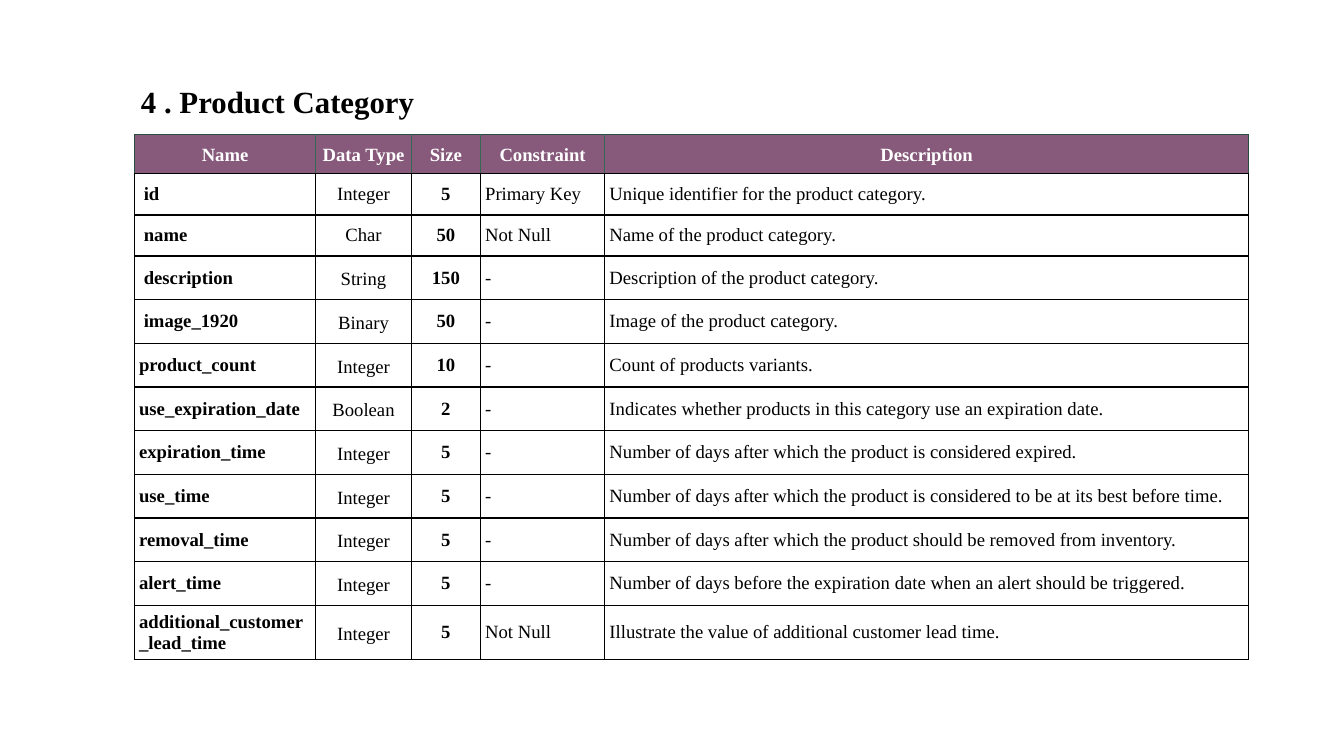
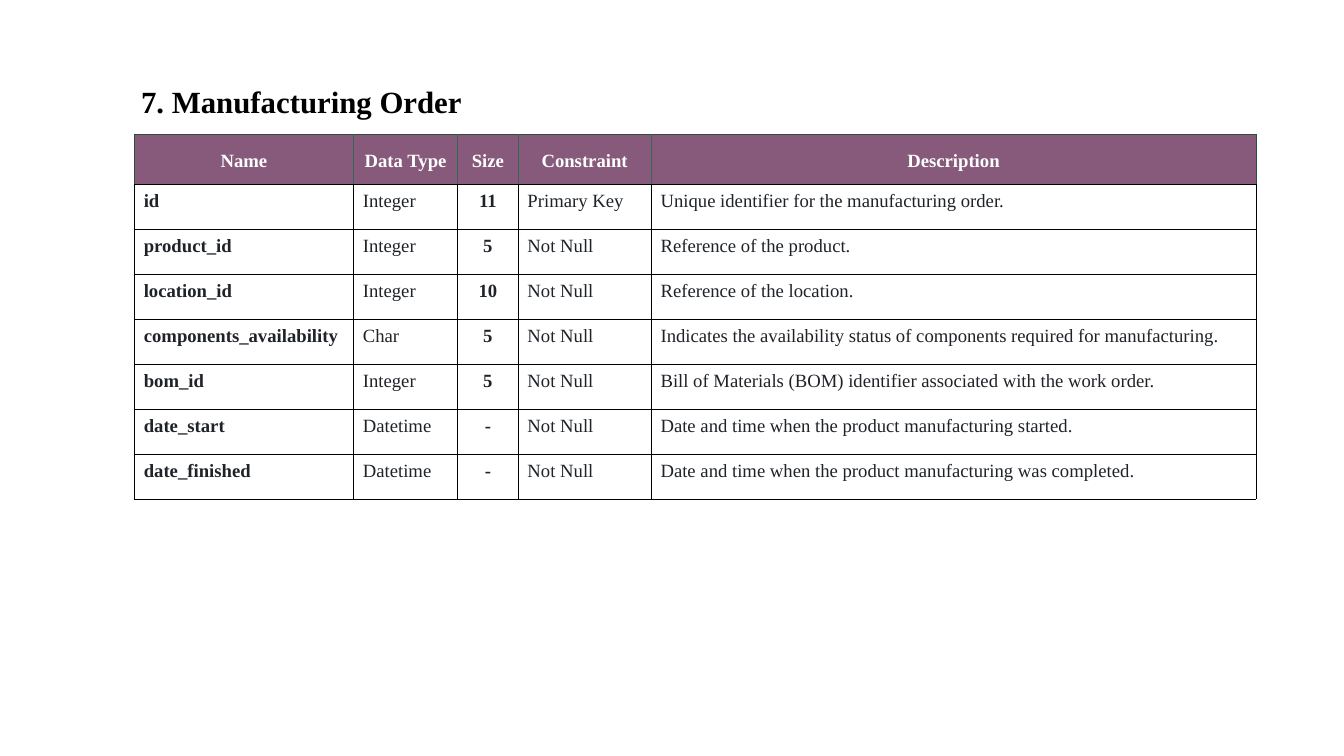
"""Builds two data dictionary slides, each a title above a table of fields."""
import dataclasses

import lxml.etree
import pptx
import pptx.dml.color
import pptx.enum.text
import pptx.oxml.ns
import pptx.util

Inches = pptx.util.Inches
ALIGN = pptx.enum.text.PP_ALIGN
ANCHOR = pptx.enum.text.MSO_ANCHOR

COLOURS = {
    "header": "875A7B",
    "header_text": "FFFFFF",
    "header_edge": "284E3F",
    "header_divider": "356854",
    "grid": "000000",
    "title": "000000",
    "ink": "000000",
    "soft_ink": "1F2328",
}
FONT = "Times New Roman"
LEFT = 2
TABLE_TOP = 2
LOOSE = 1.15
HEADINGS = ["Name", "Data Type", "Size", "Constraint", "Description"]
BOLD_COLUMNS = ("Name", "Size")


@dataclasses.dataclass
class FieldStyle:
    """The look of the field rows and rules of one table."""
    ink: str
    margins: tuple
    anchor: ANCHOR
    spacing: float
    centred: tuple
    grid_width: float
    header_width: float


CATEGORY_STYLE = FieldStyle("ink", (0.07, 0.07), ANCHOR.MIDDLE, 1.0,
                            ("Data Type", "Size"), 1.5, 1.5)
ORDER_STYLE = FieldStyle("soft_ink", (0.14, 0.06), ANCHOR.TOP, LOOSE,
                         ("Size",), 0.75, 0.94)

CATEGORY_WIDTHS = [2.7, 1.42, 1.03, 1.85, 9.58]
CATEGORY_HEIGHTS = [0.58, 0.62, 0.61] + [0.65] * 8 + [0.74]
CATEGORY_FIELDS = [
    ("id", "Integer", "5", "Primary Key", "Unique identifier for the product category."),
    ("name", "Char", "50", "Not Null", "Name of the product category."),
    ("description", "String", "150", "-", "Description of the product category."),
    ("image_1920", "Binary", "50", "-", "Image of the product category."),
    ("product_count", "Integer", "10", "-", "Count of products variants."),
    ("use_expiration_date", "Boolean", "2", "-",
     "Indicates whether products in this category use an expiration date."),
    ("expiration_time", "Integer", "5", "-",
     "Number of days after which the product is considered expired."),
    ("use_time", "Integer", "5", "-",
     "Number of days after which the product is considered to be at its best before time."),
    ("removal_time", "Integer", "5", "-",
     "Number of days after which the product should be removed from inventory."),
    ("alert_time", "Integer", "5", "-",
     "Number of days before the expiration date when an alert should be triggered."),
    ("additional_customer_lead_time", "Integer", "5", "Not Null",
     "Illustrate the value of additional customer lead time."),
]

ORDER_WIDTHS = [3.26, 1.55, 0.9, 1.98, 9]
ORDER_HEIGHTS = [0.74] + [0.67] * 7
ORDER_FIELDS = [
    ("id", "Integer", "11", "Primary Key", "Unique identifier for the manufacturing order."),
    ("product_id", "Integer", "5", "Not Null", "Reference of the product."),
    ("location_id", "Integer", "10", "Not Null", "Reference of the location."),
    ("components_availability", "Char", "5", "Not Null",
     "Indicates the availability status of components required for manufacturing."),
    ("bom_id", "Integer", "5", "Not Null",
     "Bill of Materials (BOM) identifier associated with the work order."),
    ("date_start", "Datetime", "-", "Not Null",
     "Date and time when the product manufacturing started."),
    ("date_finished", "Datetime", "-", "Not Null",
     "Date and time when the product manufacturing was completed."),
]


def rgb(name):
    """Return the named colour."""
    return pptx.dml.color.RGBColor.from_string(COLOURS[name])


def set_font(paragraph, size, colour, bold):
    """Format every run of a paragraph."""
    for run in paragraph.runs:
        run.font.name = FONT
        run.font.size = pptx.util.Pt(size)
        run.font.bold = bold
        run.font.color.rgb = rgb(colour)


def add_title(slide, text, width, height):
    """Add the heading above a table."""
    title = slide.shapes.add_textbox(Inches(LEFT), Inches(1.13), Inches(width), Inches(height))
    frame = title.text_frame
    frame.word_wrap = True
    frame.margin_left = frame.margin_right = Inches(0.1)
    frame.margin_top = frame.margin_bottom = Inches(0.1)
    frame.text = text
    set_font(frame.paragraphs[0], 33, "title", True)


def set_borders(cell, borders):
    """Draw the sides of a cell, given as (colour, points) in the order L, R, T, B."""
    properties = cell._tc.get_or_add_tcPr()
    qn = pptx.oxml.ns.qn
    for side, (colour, points) in zip("LRTB", borders):
        line = lxml.etree.SubElement(properties, qn(f"a:ln{side}"), w=str(pptx.util.Pt(points)))
        fill = lxml.etree.SubElement(line, qn("a:solidFill"))
        lxml.etree.SubElement(fill, qn("a:srgbClr"), val=COLOURS[colour])


def write_cell(cell, text, colour, bold, centred, spacing, margins, anchor):
    """Put formatted text in a cell."""
    cell.text_frame.text = text
    cell.margin_left = cell.margin_right = Inches(margins[0])
    cell.margin_top = cell.margin_bottom = Inches(margins[1])
    cell.vertical_anchor = anchor
    paragraph = cell.text_frame.paragraphs[0]
    paragraph.alignment = ALIGN.CENTER if centred else ALIGN.LEFT
    paragraph.line_spacing = spacing
    set_font(paragraph, 20, colour, bold)


def fill_header(table, style):
    """Write the heading row with its coloured band."""
    last = len(HEADINGS) - 1
    for column, heading in enumerate(HEADINGS):
        cell = table.cell(0, column)
        left = "header_edge" if column == 0 else "header_divider"
        right = "header_edge" if column == last else "header_divider"
        rules = [(name, style.header_width) for name in (left, right, "header_edge")]
        set_borders(cell, rules + [("grid", style.grid_width)])
        cell.fill.solid()
        cell.fill.fore_color.rgb = rgb("header")
        write_cell(cell, heading, "header_text", True, True, LOOSE, (0.08, 0.02), ANCHOR.MIDDLE)


def add_field_table(slide, fields, widths, heights, style):
    """Add the table of fields and return it."""
    table = slide.shapes.add_table(
        len(heights), len(widths), Inches(LEFT), Inches(TABLE_TOP),
        Inches(sum(widths)), Inches(sum(heights))).table
    table.horz_banding = False
    for column, width in zip(table.columns, widths):
        column.width = Inches(width)
    for row, height in zip(table.rows, heights):
        row.height = Inches(height)
    fill_header(table, style)
    for row, field in enumerate(fields, 1):
        for column, (heading, text) in enumerate(zip(HEADINGS, field)):
            cell = table.cell(row, column)
            set_borders(cell, [("grid", style.grid_width)] * 4)
            cell.fill.background()
            write_cell(cell, text, style.ink, heading in BOLD_COLUMNS,
                       heading in style.centred, style.spacing, style.margins, style.anchor)
    return table


def adjust_category_table(table):
    """Indent the first four names and loosen the data types from the third field on."""
    for row in range(1, 5):
        table.cell(row, 0).margin_left = Inches(0.14)
    for row in range(3, len(table.rows)):
        table.cell(row, 1).text_frame.paragraphs[0].line_spacing = LOOSE


def main():
    """Build and save the slides."""
    deck = pptx.Presentation()
    deck.slide_width = Inches(20)
    deck.slide_height = Inches(11.25)
    blank = deck.slide_layouts[6]

    category = deck.slides.add_slide(blank)
    add_title(category, "4 . Product Category", 4.7, 0.63)
    category_table = add_field_table(category, CATEGORY_FIELDS, CATEGORY_WIDTHS,
                                     CATEGORY_HEIGHTS, CATEGORY_STYLE)
    adjust_category_table(category_table)

    order = deck.slides.add_slide(blank)
    add_field_table(order, ORDER_FIELDS, ORDER_WIDTHS, ORDER_HEIGHTS, ORDER_STYLE)
    add_title(order, "7. Manufacturing Order", 5.75, 0.78)

    deck.save("out.pptx")


if __name__ == "__main__":
    main()
